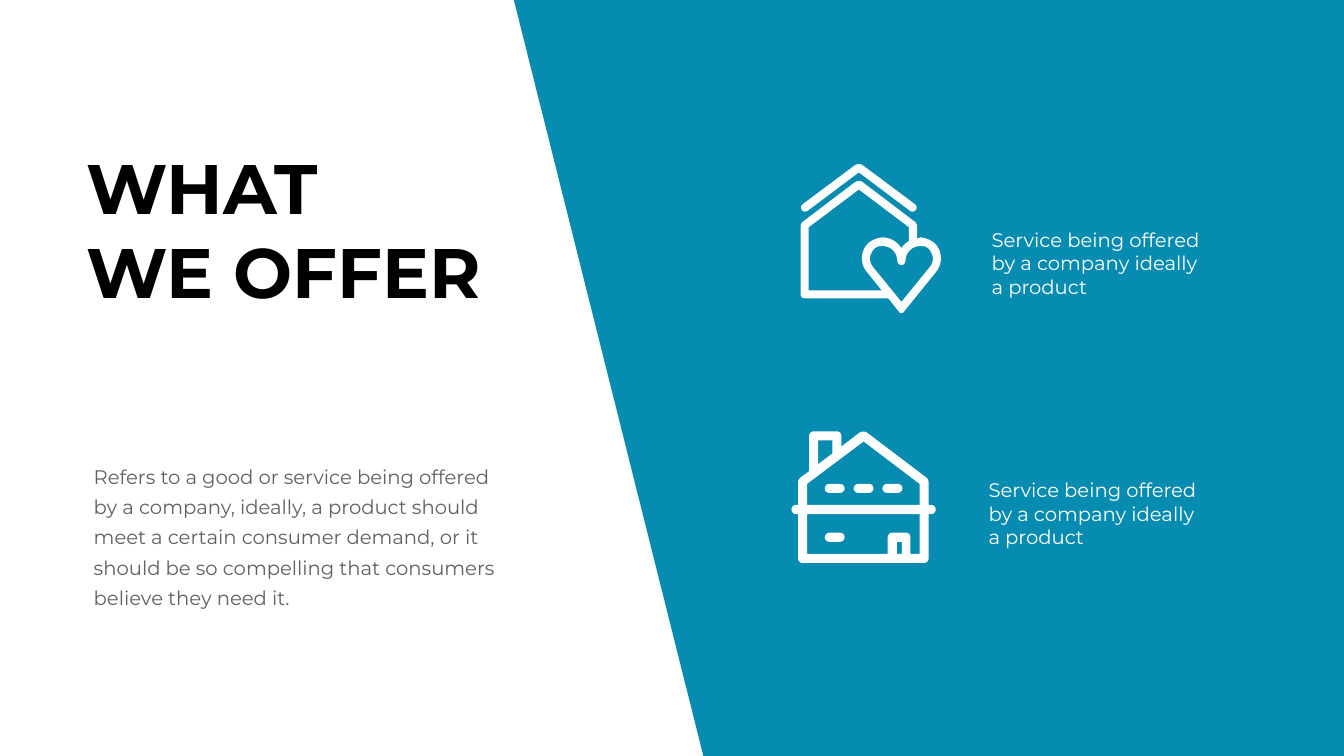
from lxml.etree import SubElement
from pptx import Presentation
from pptx.dml.color import RGBColor
from pptx.enum.shapes import MSO_SHAPE as Shape
from pptx.enum.text import MSO_ANCHOR as Anchor, MSO_AUTO_SIZE as AutoSize, PP_ALIGN as Align
from pptx.oxml.ns import qn
from pptx.util import Pt

FONT = "Montserrat"
WHITE, TEAL, BLACK, GREY = "FFFFFF", "068BB1", "000000", "606160"
ROUND = 0.55  # control-point share that turns a cubic into a near-circular corner


def color(hex_value):
    return RGBColor.from_string(hex_value)


def paint(shape, hex_value):
    shape.shadow.inherit = False
    shape.fill.solid()
    shape.fill.fore_color.rgb = color(hex_value)
    shape.line.fill.background()
    return shape


def place(shape, left, top, width, height):
    shape.left, shape.top, shape.width, shape.height = map(Pt, (left, top, width, height))
    return shape


def write(shape, text, size=28, fill=GREY, bold=False, margins=(17.28, 8.64), spacing=None):
    frame = shape.text_frame
    frame.text = text
    frame.word_wrap = True
    frame.auto_size = AutoSize.NONE
    frame.vertical_anchor = Anchor.TOP
    frame.margin_left = frame.margin_right = Pt(margins[0])
    frame.margin_top = frame.margin_bottom = Pt(margins[1])
    for paragraph in frame.paragraphs:
        properties = paragraph._p.get_or_add_pPr()
        properties.set("marL", "0")
        properties.set("indent", "0")
        SubElement(properties, qn("a:buNone"))
        paragraph.alignment = Align.LEFT
        paragraph.space_before = Pt(0)
        if spacing:
            paragraph.line_spacing = Pt(spacing)
        for run in paragraph.runs:
            run.font.name, run.font.size, run.font.bold = FONT, Pt(size), bold
            run.font.color.rgb = color(fill)


def cubic(start, first, second, end, steps=8):
    """Points along a Bezier curve, without its start."""
    points = []
    for step in range(1, steps + 1):
        t = step / steps
        weights = ((1 - t) ** 3, 3 * t * (1 - t) ** 2, 3 * t * t * (1 - t), t ** 3)
        points.append(tuple(sum(w * p[axis] for w, p in zip(weights, (start, first, second, end)))
                            for axis in (0, 1)))
    return points


def toward(start, end, share):
    return tuple(a + (b - a) * share for a, b in zip(start, end))


def trace(nodes):
    """Nodes are (x, y), a rounded corner (x, y, radius) or a curve (x1, y1, x2, y2, x, y)."""
    points = []
    for index, node in enumerate(nodes):
        if len(node) == 6:
            points += cubic(points[-1], node[:2], node[2:4], node[4:])
        elif len(node) == 3:
            corner, radius = node[:2], node[2]
            ends = []
            for neighbour in (nodes[index - 1][-2:] if len(nodes[index - 1]) != 3 else nodes[index - 1][:2],
                              nodes[(index + 1) % len(nodes)][:2]):
                length = sum((a - b) ** 2 for a, b in zip(corner, neighbour)) ** 0.5
                ends.append(toward(corner, neighbour, radius / length))
            controls = [toward(end, corner, ROUND) for end in ends]
            points += [ends[0]] + cubic(ends[0], *controls, ends[1])
        else:
            points.append(node)
    return points


def add_outline(slide, left, top, contours):
    """One white freeform; contours inside another one are holes."""
    builder = None
    for nodes in contours:
        start, *rest = [(Pt(left + x), Pt(top + y)) for x, y in trace(nodes)]
        if builder is None:
            builder = slide.shapes.build_freeform(*start, scale=1.0)
        else:
            builder.move_to(*start)
        builder.add_line_segments(rest, close=True)
    return paint(builder.convert_to_shape(), WHITE)


def add_heart_house(slide, left, top):
    roof = [(11.5, 71.3), (83.2, 13), (154.8, 71.3), (161, 71.3, 0.1)]
    roof = [(5.4, 71.3, 5.8), (83.2, 13), (161, 71.3, 5.8),
            (168.1, 62, 5.8), (83.2, -1.4, 7), (-1.7, 62, 5.8)]
    heart_hole = [(103, 147.6), (98.6, 141.8, 97.9, 134.6, 100.8, 128.9),
                  (103.7, 121.7, 108.7, 118.1, 116.6, 118.1),
                  (128.9, 118.1, 138.2, 127.4, 138.2, 139.7),
                  (138.2, 142.6, 141.1, 145.4, 144, 145.4),
                  (146.9, 145.4, 149.8, 142.6, 149.8, 139.7),
                  (149.8, 127.4, 159.1, 118.1, 171.4, 118.1),
                  (179.3, 118.1, 184.3, 121.7, 187.2, 128.9),
                  (190.1, 134.6, 189.4, 141.8, 185, 147.6), (144, 198)]
    room_hole = [(11.5, 91.4), (83.2, 37.4), (154.8, 91.4), (154.8, 110.9),
                 (150.5, 113.8, 146.9, 116.6, 144, 121),
                 (138.2, 112.3, 128.2, 105.8, 116.6, 105.8),
                 (104.4, 107.3, 94.3, 113, 90, 123.8),
                 (85.7, 133.9, 87.1, 146.2, 94.3, 154.8), (115.9, 181.4), (11.5, 181.4)]
    outside = [(193.7, 154.8), (200.9, 146.2, 202.3, 133.9, 198, 123.8),
               (193.7, 113, 183.6, 107.3, 171.4, 105.8), (166.3, 107.3),
               (166.3, 85.9, 4), (83.2, 22.8, 7), (0, 85.9, 4), (0, 193, 6),
               (125.3, 193), (144, 216.4, 5)]
    add_outline(slide, left, top, [roof])
    add_outline(slide, left, top, [outside, room_hole, heart_hole])


def add_chimney_house(slide, left, top):
    outside = [(9.4, 105.1), (9.4, 68.4, 4), (25.2, 56.9), (25.2, 0, 6.5), (71.3, 0, 6.5),
               (71.3, 21.6), (102.6, -2.3, 7), (195.8, 68.4, 4), (195.8, 105.1),
               (206, 105.1, 6.5), (206, 118.1, 6.5), (195.8, 118.1), (195.8, 188, 6.5),
               (9.4, 188, 6.5), (9.4, 118.1), (0, 118.1, 6.5), (0, 105.1, 6.5)]
    chimney_hole = [(38.2, 13), (58.3, 13), (58.3, 31.7), (38.2, 46.8)]
    upper_hole = [(22.3, 105.1), (22.3, 74.9), (103, 14.4), (182.9, 74.9), (182.9, 105.1)]
    lower_hole = [(169.9, 175), (169.9, 144.7, 6.5), (137.5, 144.7, 6.5), (137.5, 175),
                  (22.3, 175), (22.3, 118.1), (182.9, 118.1), (182.9, 175)]
    door_hole = [(157.7, 175), (150.5, 175), (150.5, 157.7), (157.7, 157.7)]
    add_outline(slide, left, top, [outside, chimney_hole, upper_hole, lower_hole, door_hole])
    window_pitch = 41.2
    for column, y in ((0, 144.7), (0, 74.9), (1, 74.9), (2, 74.9)):
        window = slide.shapes.add_shape(Shape.ROUNDED_RECTANGLE, Pt(left + 47.5 + column * window_pitch),
                                        Pt(top + y), Pt(28.5), Pt(13))
        window.adjustments[0] = 0.5
        paint(window, WHITE)


def add_intro(slide, left, top):
    title, body = slide.placeholders
    write(place(title, left, top, 659.5, 249.8), "WHAT\nWE OFFER",
          size=100, fill=BLACK, bold=True, margins=(7.2, 3.6))
    write(place(body, left, top + 443.5, 635, 230.4),
          "Refers to a good or service being offered by a company, ideally, a product should "
          "meet a certain consumer demand, or it should be so compelling that consumers "
          "believe they need it.", spacing=43)


def add_service(slide, left, top, add_icon, icon_left, icon_top):
    add_icon(slide, icon_left, icon_top)
    box = slide.shapes.add_textbox(Pt(left), Pt(top), Pt(355.7), Pt(119.6))
    write(box, "Service being offered by a company ideally\va product", fill=WHITE)


def main():
    presentation = Presentation()
    presentation.slide_width, presentation.slide_height = Pt(1919.5), Pt(1080)
    slide = presentation.slides.add_slide(presentation.slide_layouts[1])
    slide.background.fill.solid()
    slide.background.fill.fore_color.rgb = color(WHITE)
    panel = slide.shapes.add_shape(Shape.FLOWCHART_MANUAL_OPERATION, 0, 0, 0, 0)
    paint(place(panel, 692.6, -164.9, 1751, 1397.5), TEAL)
    add_intro(slide, 116.6, 203)
    add_service(slide, 1399, 316.8, add_heart_house, 1143.4, 233.3)
    add_service(slide, 1394.6, 674.6, add_chimney_house, 1130.4, 616.3)
    presentation.save("out.pptx")


if __name__ == "__main__":
    main()
